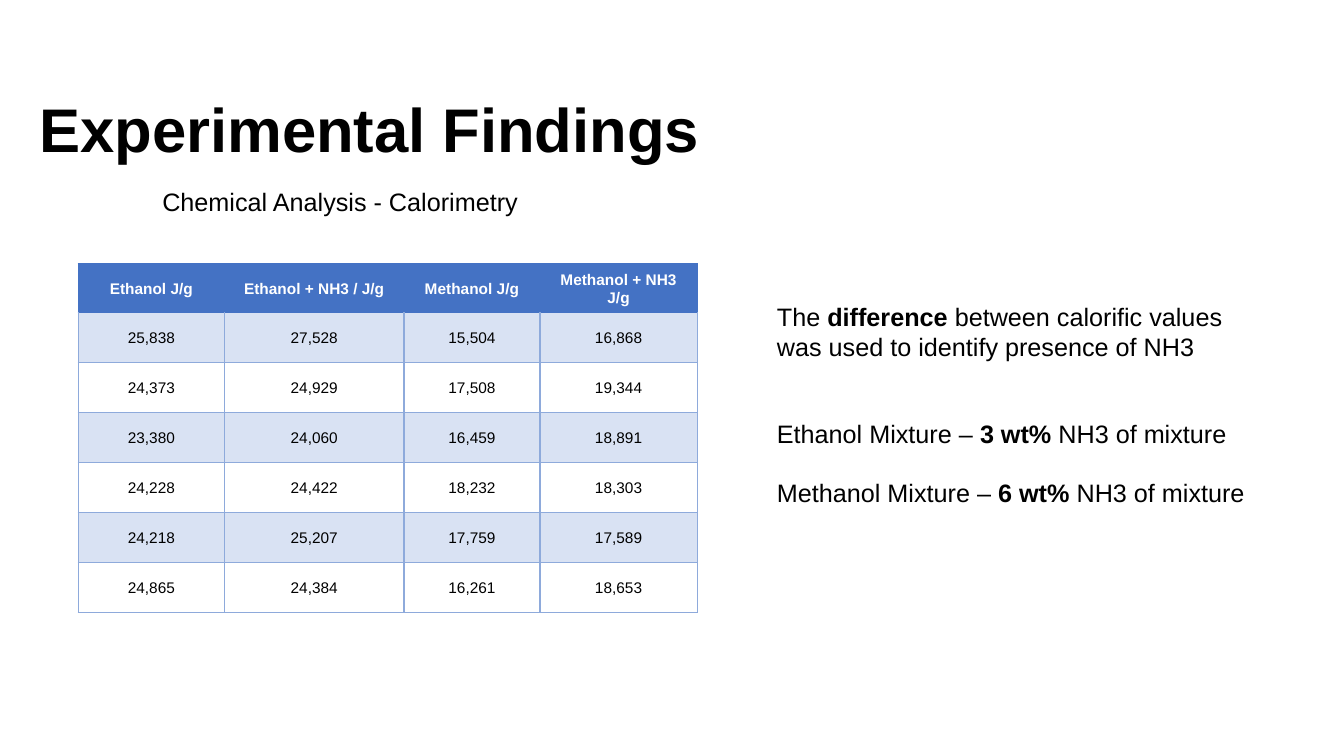
from lxml.etree import SubElement
from pptx import Presentation
from pptx.dml.color import RGBColor
from pptx.enum.text import MSO_ANCHOR as Anchor, MSO_AUTO_SIZE as AutoSize, PP_ALIGN as Align
from pptx.oxml import parse_xml
from pptx.oxml.ns import nsdecls, qn
from pptx.util import Cm, Pt

BLACK, WHITE = "000000", "FFFFFF"
BLUE, PALE_BLUE, LINE_BLUE = "4472C4", "D9E2F3", "8EAADB"

COLUMN_WIDTHS = [3.69, 4.52, 3.43, 3.96]
CALORIFIC_VALUES = [
    ["Ethanol J/g", "Ethanol + NH3 / J/g", "Methanol J/g", "Methanol + NH3 J/g"],
    ["25,838", "27,528", "15,504", "16,868"],
    ["24,373", "24,929", "17,508", "19,344"],
    ["23,380", "24,060", "16,459", "18,891"],
    ["24,228", "24,422", "18,232", "18,303"],
    ["24,218", "25,207", "17,759", "17,589"],
    ["24,865", "24,384", "16,261", "18,653"],
]


def color(hex_code):
    return RGBColor.from_string(hex_code)


def set_font(paragraph, size, hex_code=BLACK, bold=None):
    font = paragraph.font
    font.name, font.size, font.bold = "Arial", Pt(size), bold
    font.color.rgb = color(hex_code)


def add_title(slide, text):
    title = slide.shapes.title
    title.left, title.top, title.width, title.height = Cm(0.99), Cm(2.49), Cm(25), Cm(3.81)
    frame = title.text_frame
    frame.margin_left = frame.margin_right = frame.margin_top = frame.margin_bottom = 0
    frame.vertical_anchor = Anchor.TOP
    frame.auto_size = AutoSize.NONE
    frame.text = text
    heading = frame.paragraphs[0]
    heading.alignment = Align.LEFT
    heading.line_spacing = 0.9
    set_font(heading, 44, bold=True)


def add_text(slide, left, top, width, height, paragraphs, wrap=False, gap=0):
    """Each paragraph is a list of (text, bold) pairs; gap is in points."""
    frame = slide.shapes.add_textbox(Cm(left), Cm(top), Cm(width), Cm(height)).text_frame
    frame.word_wrap = wrap
    frame.auto_size = AutoSize.SHAPE_TO_FIT_TEXT
    for index, pieces in enumerate(paragraphs):
        paragraph = frame.add_paragraph() if index else frame.paragraphs[0]
        if index:
            paragraph.space_before = Pt(gap)
        set_font(paragraph, 18)
        for text, bold in pieces:
            run = paragraph.add_run()
            run.text = text
            if bold:
                run.font.bold = True


def set_borders(cell, edge_colors):
    """Draw the left, right, top and bottom edges, in that order."""
    properties = cell._tc.get_or_add_tcPr()
    for index, (edge, hex_code) in enumerate(zip("LRTB", edge_colors)):
        line = parse_xml(f'<a:ln{edge} {nsdecls("a")} w="{Pt(1)}"/>')
        fill = SubElement(line, qn("a:solidFill"))
        SubElement(fill, qn("a:srgbClr"), val=hex_code)
        properties.insert(index, line)


def format_cell(cell, text, row):
    header = row == 0
    cell.text = text
    cell.vertical_anchor = Anchor.MIDDLE
    cell.margin_left = cell.margin_right = Cm(0.18)
    cell.margin_top = cell.margin_bottom = 0
    paragraph = cell.text_frame.paragraphs[0]
    paragraph.alignment = Align.CENTER
    paragraph.line_spacing = 1.07
    paragraph.space_after = Pt(8)
    set_font(paragraph, 11, WHITE if header else BLACK, header)
    cell.fill.solid()
    cell.fill.fore_color.rgb = color(BLUE if header else PALE_BLUE if row % 2 else WHITE)
    side = BLUE if header else LINE_BLUE
    top = BLUE if row < 2 else LINE_BLUE
    set_borders(cell, [side, side, top, side])


def add_value_table(slide, left, top, values):
    table = slide.shapes.add_table(
        len(values), len(values[0]), Cm(left), Cm(top), Cm(sum(COLUMN_WIDTHS)), Cm(8.79)
    ).table
    table.horz_banding = False
    for column, width in zip(table.columns, COLUMN_WIDTHS):
        column.width = Cm(width)
    for row, texts in enumerate(values):
        table.rows[row].height = Cm(1.26 if row else 1.23)
        for column, text in enumerate(texts):
            format_cell(table.cell(row, column), text, row)


def main():
    presentation = Presentation()
    presentation.slide_width, presentation.slide_height = Cm(33.87), Cm(19.05)
    slide = presentation.slides.add_slide(presentation.slide_layouts[5])
    add_title(slide, "Experimental Findings")
    add_text(slide, 3.84, 4.57, 9.55, 1.02, [[("Chemical Analysis - Calorimetry", False)]])
    add_value_table(slide, 1.97, 6.65, CALORIFIC_VALUES)
    add_text(slide, 19.33, 7.47, 12.57, 1.8, [[
        ("The ", False),
        ("difference", True),
        (" between calorific values was used to identify presence of NH3", False),
    ]], wrap=True)
    mixtures = [("Ethanol", "3 wt% "), ("Methanol", "6 wt% ")]
    add_text(slide, 19.33, 10.41, 12.34, 2.57, [
        [(f"{alcohol} Mixture – ", False), (share, True), ("NH3 of mixture", False)]
        for alcohol, share in mixtures
    ], gap=21)
    presentation.save("out.pptx")


if __name__ == "__main__":
    main()
